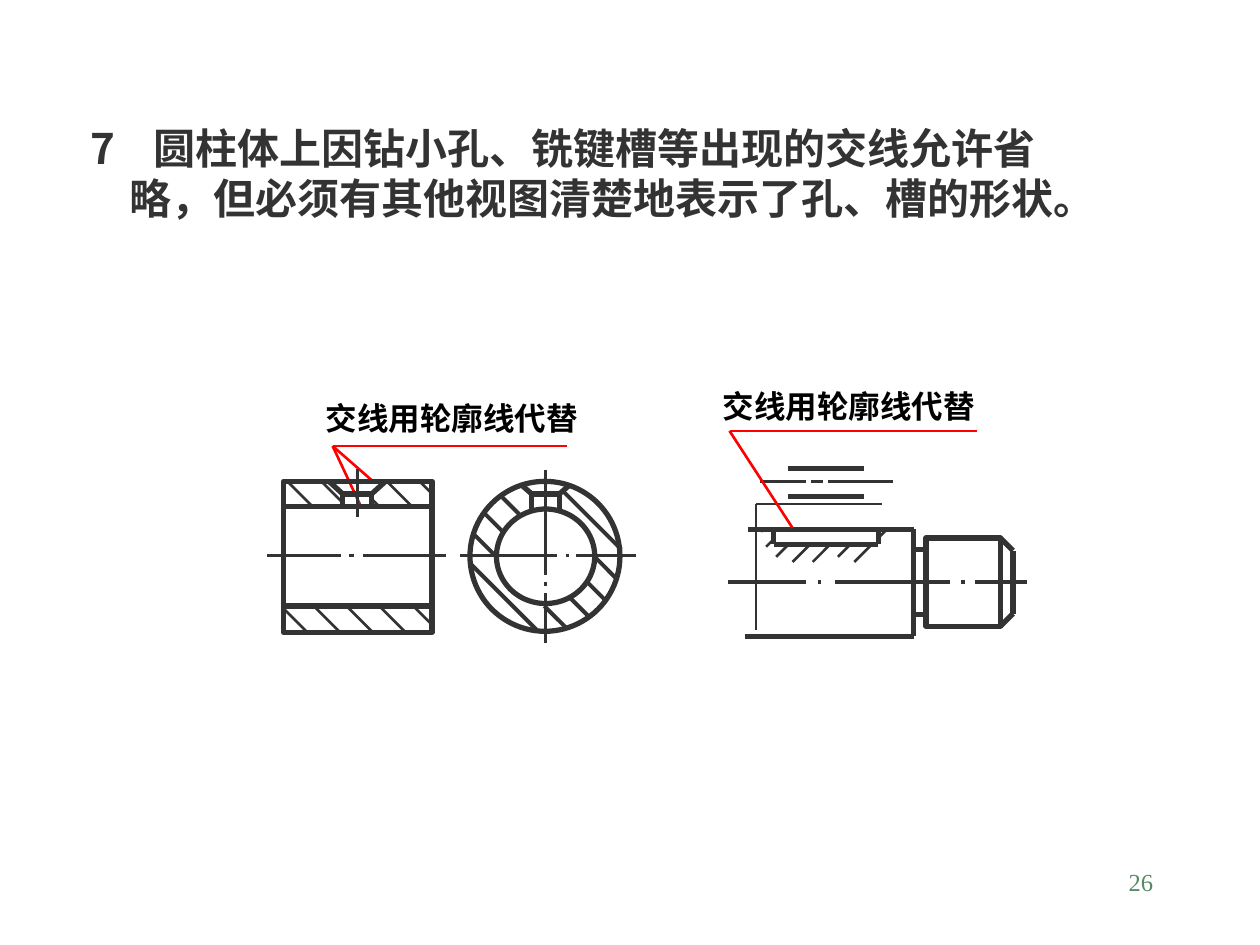
from lxml import etree
from pptx import Presentation
from pptx import util as u
from pptx.dml.color import RGBColor
from pptx.enum import shapes, text
from pptx.oxml.ns import qn

DARK, RED, BLACK, GREEN = "333333", "FF0000", "000000", "578963"
THICK, MEDIUM, THIN = 3, 2.25, 1.5
CJK = "Noto Sans CJK SC"


def color(value):
    return RGBColor.from_string(value)


def apply(target, values):
    for name, value in values.items():
        setattr(target, name, value)


class Drawing:
    """Holds the shared style and the slide being drawn."""

    heading = {"name": CJK, "size": u.Pt(24), "bold": True}
    label_font = {"name": CJK, "size": u.Pt(18), "bold": True}
    number_font = {"name": "Times New Roman", "size": u.Pt(14), "bold": False}

    def __init__(self, slide):
        self.slide = slide
        self.shapes = slide.shapes

    def add_words(self, para, words, font, tint):
        span = para.add_run()
        span.text = words
        apply(span.font, font)
        span.font.color.rgb = color(tint)
        east_asian = etree.SubElement(span.font._element, qn("a:ea"))
        east_asian.set("typeface", font["name"])

    def title(self, at, rows):
        """Rows are (words, left margin, first-line indent)."""
        box = self.shapes.title
        apply(box, dict(zip(("left", "top", "width", "height"), map(u.Inches, at))))
        frame = box.text_frame
        apply(frame, {"vertical_anchor": text.MSO_ANCHOR.TOP, "word_wrap": True,
                      "auto_size": text.MSO_AUTO_SIZE.NONE})
        for index, (words, margin, indent) in enumerate(rows):
            para = frame.add_paragraph() if index else frame.paragraphs[0]
            apply(para, {"alignment": text.PP_ALIGN.LEFT, "line_spacing": u.Pt(28.8)})
            props = para._p.get_or_add_pPr()
            props.set("marL", str(u.Inches(margin)))
            props.set("indent", str(u.Inches(indent)))
            self.add_words(para, words, self.heading, DARK)

    def label(self, at, words):
        box = self.shapes.add_textbox(*map(u.Inches, at))
        margins = ("margin_left", "margin_top", "margin_right", "margin_bottom")
        apply(box.text_frame, {**dict.fromkeys(margins, 0), "word_wrap": False})
        para = box.text_frame.paragraphs[0]
        apply(para, {"alignment": text.PP_ALIGN.CENTER, "line_spacing": u.Pt(21.6)})
        self.add_words(para, words, self.label_font, BLACK)

    def page_number(self, at, words):
        box = self.shapes.add_textbox(*map(u.Inches, at))
        box.text_frame.word_wrap = True
        para = box.text_frame.paragraphs[0]
        para.alignment = text.PP_ALIGN.RIGHT
        self.add_words(para, words, self.number_font, GREEN)

    def stroke(self, shape, weight, tint=DARK):
        shape.line.color.rgb = color(tint)
        shape.line.width = u.Pt(weight)

    def outline(self, kind, at):
        shape = self.shapes.add_shape(kind, *map(u.Inches, at))
        shape.shadow.inherit = False
        shape.fill.background()
        self.stroke(shape, THICK)

    def lines(self, segments, weight, tint=DARK):
        for ends in segments:
            line = self.shapes.add_connector(
                shapes.MSO_CONNECTOR.STRAIGHT, *map(u.Inches, ends))
            self.stroke(line, weight, tint)
            etree.SubElement(line._element.spPr, qn("a:effectLst"))

    def center_line(self, y, spans, weight=THIN):
        self.lines([(start, y, end, y) for start, end in spans], weight)

    def hatch(self, marks, weight, slope=1):
        """Marks are (x, y, run) for 45 degree strokes."""
        self.lines([(x, y, x + run, y + slope * run) for x, y, run in marks], weight)

    def curve(self, points, weight):
        builder = self.shapes.build_freeform(*points[0], scale=u.Inches(1))
        builder.add_line_segments(points[1:], close=False)
        shape = builder.convert_to_shape()
        shape.shadow.inherit = False
        shape.fill.background()
        self.stroke(shape, weight)


def sleeve_views(draw):
    rect, oval = shapes.MSO_SHAPE.RECTANGLE, shapes.MSO_SHAPE.OVAL

    # Callout
    draw.label((2.58, 3.17, 2.01, 0.3), "交线用轮廓线代替")
    draw.lines([(2.64, 3.54, x, y) for x, y in
                ((2.86, 4.01), (2.96, 3.82), (4.5, 3.54))], THIN, RED)

    # Lengthwise section: walls, countersunk hole, center lines
    draw.outline(rect, (2.25, 3.82, 1.18, 1.2))
    draw.lines([(2.25, y, 3.43, y) for y in (4.02, 4.81)], THICK)
    draw.lines([(2.61, 3.82, 2.72, 3.92), (2.72, 3.92, 2.72, 4.02),
                (2.72, 3.92, 2.95, 3.92), (2.95, 3.92, 3.06, 3.82),
                (2.95, 3.92, 2.95, 4.02)], THICK)
    draw.lines([(2.84, 3.72, 2.84, 4.1)], THIN)
    draw.center_line(4.41, [(2.12, 2.71), (2.77, 2.81), (2.88, 3.54)])
    draw.hatch([(2.25, 4.83, 0.18), (2.49, 4.81, 0.2), (2.75, 4.81, 0.2),
                (3.01, 4.81, 0.2), (3.28, 4.81, 0.16), (2.28, 3.82, 0.2),
                (2.55, 3.82, 0.17), (2.95, 3.96, 0.06), (3.07, 3.82, 0.2),
                (3.33, 3.82, 0.1)], THIN)

    # Cross section: rings, countersunk hole, center lines
    draw.outline(oval, (3.73, 3.82, 1.19, 1.19))
    draw.outline(oval, (3.94, 4.04, 0.78, 0.75))
    draw.lines([(4.14, 3.85, 4.22, 3.92), (4.22, 3.92, 4.22, 4.04),
                (4.22, 3.92, 4.44, 3.92), (4.44, 3.92, 4.52, 3.85),
                (4.44, 3.92, 4.44, 4.04)], THICK)
    draw.lines([(4.33, start, 4.33, end) for start, end in
                ((3.73, 4.52), (4.31, 4.56), (4.62, 4.65), (4.71, 5.1))], THIN)
    draw.center_line(4.41, [(3.65, 4.42), (4.49, 4.52), (4.57, 5.05)])
    draw.hatch([(3.74, 4.48, 0.52), (4.32, 4.81, 0.18), (3.76, 4.24, 0.18),
                (4.53, 4.75, 0.15), (3.84, 4.07, 0.15), (4.66, 4.62, 0.15),
                (3.97, 3.93, 0.15), (4.72, 4.42, 0.18), (4.47, 3.9, 0.46)], MEDIUM)


def shaft_views(draw):
    # Shaft body, neck and chamfered end
    draw.outline(shapes.MSO_SHAPE.RECTANGLE, (7.35, 4.27, 0.59, 0.7))
    draw.lines([(5.94, 4.2, 7.25, 4.2), (7.25, 4.2, 7.25, 5.05),
                (5.91, 5.05, 7.25, 5.05), (7.25, 4.36, 7.36, 4.36),
                (7.25, 4.88, 7.36, 4.88), (7.94, 4.27, 8.04, 4.37),
                (8.04, 4.37, 8.04, 4.87), (7.94, 4.97, 8.04, 4.87)], THICK)
    draw.curve([(5.95, 4.2), (5.88, 4.4), (5.95, 4.62), (5.91, 4.83),
                (5.91, 5.05)], THIN)
    draw.center_line(4.62, [(5.78, 6.4), (6.49, 6.52), (6.63, 7.54),
                            (7.63, 7.66), (7.74, 8.15)], MEDIUM)

    # Keyway seen from above
    draw.lines([(6.25, y, 6.86, y) for y in (3.72, 3.94)], THICK)
    for cap, side in ((6.25, -1), (6.86, 1)):
        draw.curve([(cap + side * reach, y) for reach, y in
                    ((0, 3.72), (0.08, 3.75), (0.11, 3.83), (0.08, 3.91),
                     (0, 3.94))], THICK)
    draw.center_line(3.82, [(6.03, 6.4), (6.44, 6.53), (6.57, 7.09)])

    # Keyway in the broken-out section
    draw.lines([(6.14, 4.2, 6.14, 4.32), (6.14, 4.32, 6.97, 4.32),
                (6.97, 4.2, 6.97, 4.32)], THICK)
    draw.curve([(6.03, 4.2), (6.09, 4.37), (6.15, 4.42), (6.24, 4.44),
                (6.41, 4.47), (6.58, 4.43), (6.75, 4.45), (6.92, 4.44),
                (7.05, 4.32), (7.12, 4.27), (7.16, 4.2)], THIN)
    draw.hatch([(6.04, 4.22, 0.02), (6.08, 4.34, 0.06), (6.16, 4.42, 0.1),
                (6.29, 4.46, 0.14), (6.45, 4.46, 0.14), (6.65, 4.42, 0.1),
                (6.78, 4.46, 0.14), (6.97, 4.27, 0.07)], THIN, slope=-1)

    # Callout
    draw.label((5.73, 3.07, 2.01, 0.3), "交线用轮廓线代替")
    draw.lines([(5.79, 3.42, 6.29, 4.19), (5.79, 3.42, 7.75, 3.42)], THIN, RED)


def main():
    deck = Presentation()
    apply(deck, {"slide_width": u.Inches(10), "slide_height": u.Inches(7.5)})
    draw = Drawing(deck.slides.add_slide(deck.slide_layouts[5]))

    draw.title((0.62, 0.92, 8.73, 1.3), [
        ("7\t圆柱体上因钻小孔、铣键槽等出现的交线允许省", 0.5, -0.5),
        ("略，但必须有其他视图清楚地表示了孔、槽的形状。", 0.31, 0)])
    sleeve_views(draw)
    shaft_views(draw)
    draw.page_number((7.17, 6.83, 2.08, 0.5), "26")
    deck.save("out.pptx")


if __name__ == "__main__":
    main()
